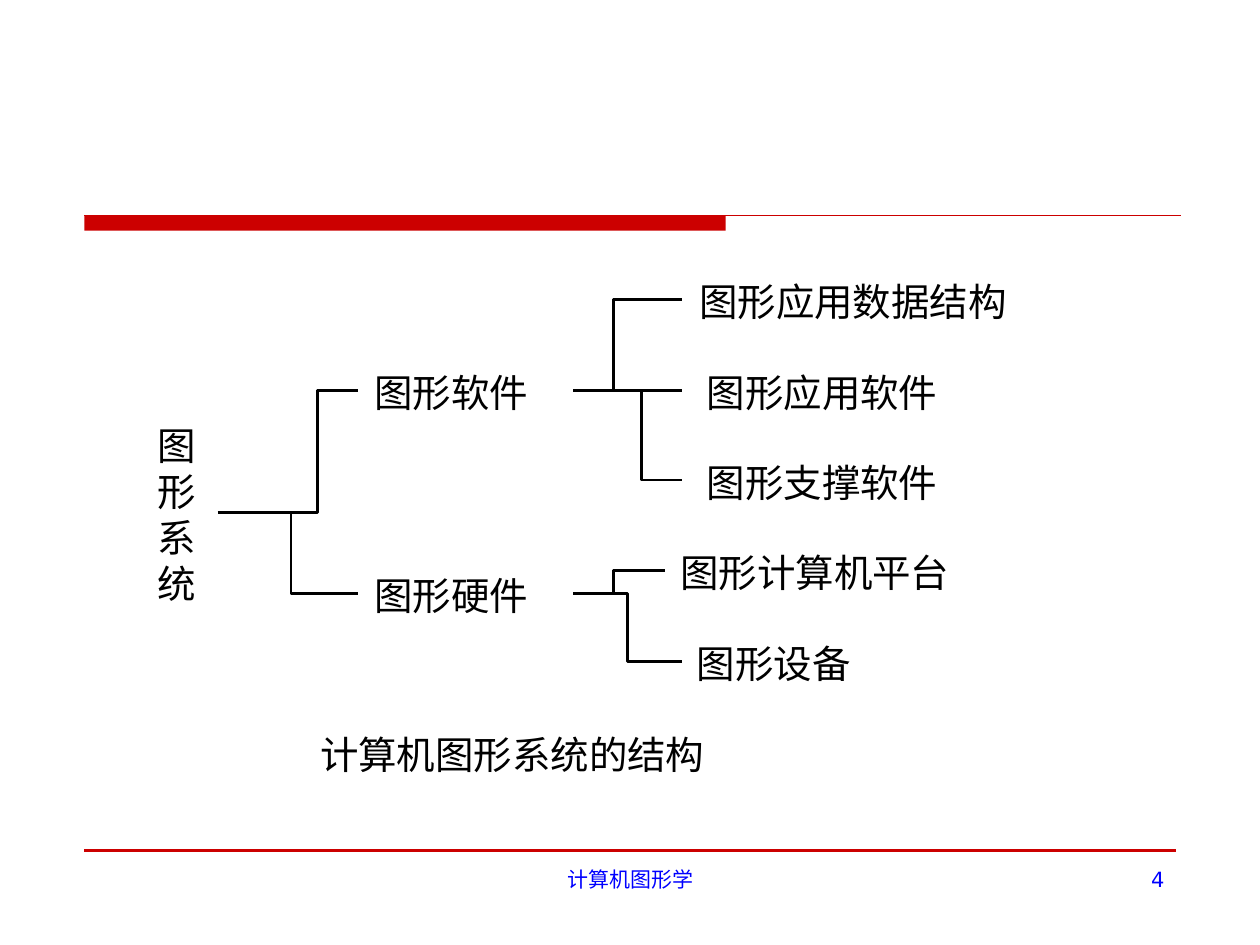
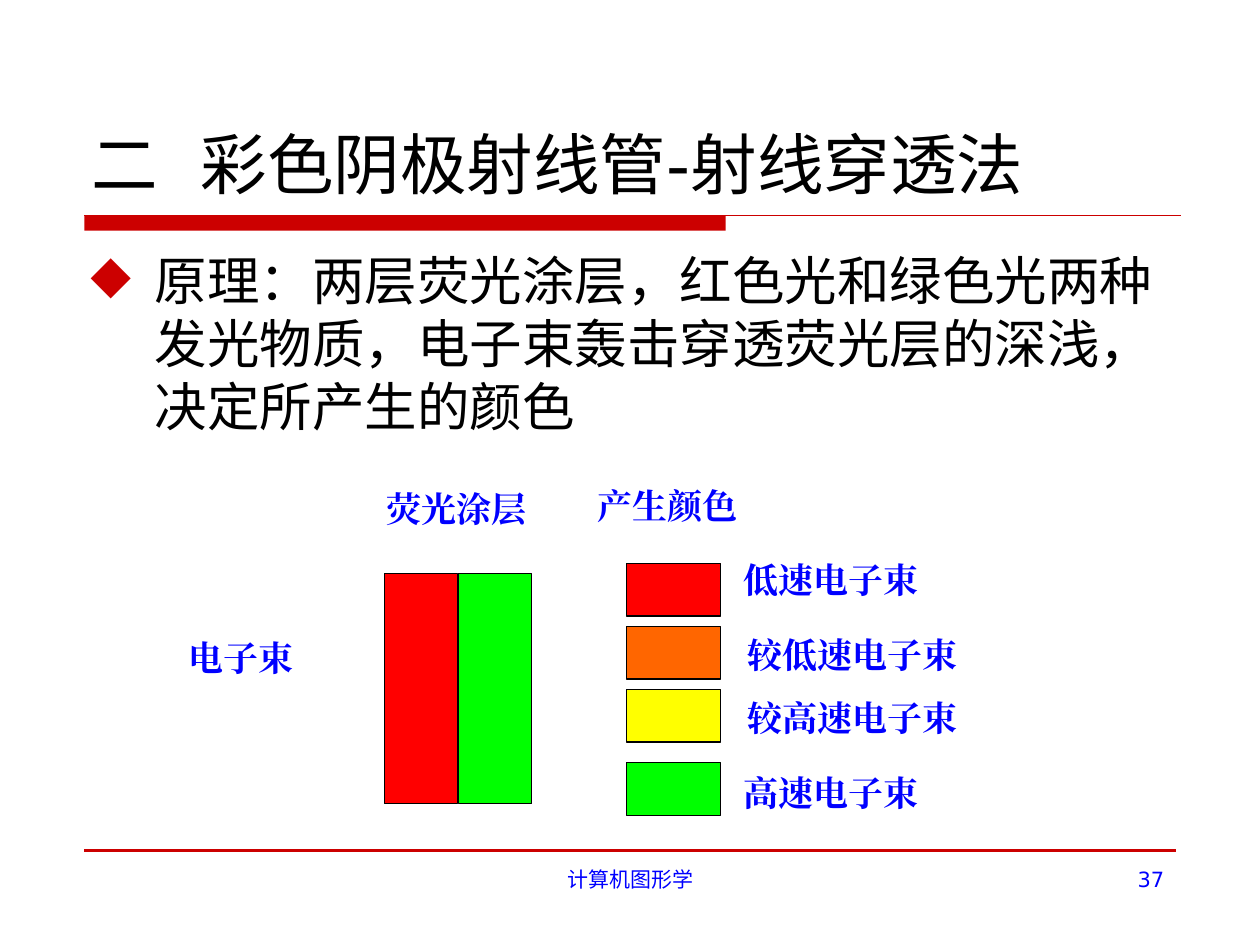
from lxml import etree
from pptx import Presentation
from pptx.dml.color import RGBColor
from pptx.enum.shapes import MSO_CONNECTOR, MSO_SHAPE
from pptx.enum.text import MSO_ANCHOR, MSO_AUTO_SIZE, PP_ALIGN
from pptx.oxml.ns import qn
from pptx.util import Inches, Pt

COLORS = {
    "accent": "CC0000", "note": "0000FF", "ink": "000000",
    "red": "FF0000", "orange": "FF6600", "yellow": "FFFF00", "green": "00FF00",
}
BASE_FONT = "DejaVu Sans"
TREE_FONT = "Noto Sans CJK SC"
BEAM_FONT = "Times New Roman"


def style_paragraph(paragraph, size, font, color, bold=False):
    """Set size, colour and both the Latin and the East Asian typeface."""
    paragraph.font.size = Pt(size)
    paragraph.font.name = font
    paragraph.font.bold = bold
    paragraph.font.color.rgb = RGBColor.from_string(COLORS[color])
    latin = paragraph.font._element.find(qn("a:latin"))
    east_asian = etree.Element(qn("a:ea"), typeface=font)
    latin.addnext(east_asian)


def add_text(slide, text, box, size, font, color, bold=False,
             align=PP_ALIGN.LEFT, margins=(0.1, 0.05), wrap=False):
    frame = slide.shapes.add_textbox(*map(Inches, box)).text_frame
    frame.word_wrap = wrap
    frame.auto_size = MSO_AUTO_SIZE.NONE if wrap else MSO_AUTO_SIZE.SHAPE_TO_FIT_TEXT
    frame.margin_left = frame.margin_right = Inches(margins[0])
    frame.margin_top = frame.margin_bottom = Inches(margins[1])
    paragraph = frame.paragraphs[0]
    paragraph.text = text
    paragraph.alignment = align
    style_paragraph(paragraph, size, font, color, bold)
    return paragraph


prs = Presentation()
prs.slide_width, prs.slide_height = Inches(10), Inches(7.5)
structure = prs.slides.add_slide(prs.slide_layouts[6])
penetration = prs.slides.add_slide(prs.slide_layouts[5])

# Shared band, rules and footer
for slide, number in ((structure, "4"), (penetration, "37")):
    band = slide.shapes.add_shape(
        MSO_SHAPE.RECTANGLE, Inches(0.67), Inches(1.71), Inches(5.09), Inches(0.12))
    band.shadow.inherit = False
    band.fill.solid()
    band.fill.fore_color.rgb = RGBColor.from_string(COLORS["accent"])
    band.line.fill.background()
    for y, right, weight in ((1.71, 9.37, 0.75), (6.75, 9.33, 2.25)):
        rule = slide.shapes.add_connector(
            MSO_CONNECTOR.STRAIGHT, Inches(0.67), Inches(y), Inches(right), Inches(y))
        rule.line.color.rgb = RGBColor.from_string(COLORS["accent"])
        rule.line.width = Pt(weight)
        etree.SubElement(rule._element.spPr, qn("a:effectLst"))
    add_text(slide, "计算机图形学", (3.42, 6.83, 3.17, 0.52), 12, BASE_FONT, "note",
             align=PP_ALIGN.CENTER, wrap=True)
    add_text(slide, number, (7.17, 6.83, 2.17, 0.52), 12, BASE_FONT, "note",
             align=PP_ALIGN.RIGHT, wrap=True)

# Slide 1: tree of the graphics system
CHAR_WIDTH, ROW_HEIGHT = 0.305, 0.37
tree_labels = [
    ("图形软件", 2.97, 2.93), ("图形硬件", 2.97, 4.54),
    ("图形应用数据结构", 5.55, 2.21), ("图形应用软件", 5.61, 2.93),
    ("图形支撑软件", 5.61, 3.64), ("图形计算机平台", 5.4, 4.36),
    ("图形设备", 5.53, 5.08), ("计算机图形系统的结构", 2.54, 5.8),
]
tree_labels += [(char, 1.25, 3.35 + 0.365 * i) for i, char in enumerate("图形系统")]
for text, x, y in tree_labels:
    add_text(structure, text, (x, y, CHAR_WIDTH * len(text), ROW_HEIGHT),
             22, TREE_FONT, "ink", margins=(0, 0))

# Each branch: start x, start y, bend x, end x, end y
branches = [
    (1.73, 4.07, 2.52, 2.84, 3.1), (1.73, 4.07, 2.31, 2.84, 4.71),
    (4.55, 3.1, 4.87, 5.41, 2.38), (4.55, 3.1, 5.09, 5.41, 3.81),
    (4.55, 4.71, 4.87, 5.28, 4.53), (4.55, 4.71, 4.98, 5.41, 5.25),
]
for x, y, bend, end_x, end_y in branches:
    builder = structure.shapes.build_freeform(Inches(x), Inches(y))
    corners = ((bend, y), (bend, end_y), (end_x, end_y))
    builder.add_line_segments([(Inches(px), Inches(py)) for px, py in corners], close=False)
    branch = builder.convert_to_shape()
    branch.shadow.inherit = False
    branch.fill.background()
    branch.line.color.rgb = RGBColor.from_string(COLORS["ink"])
    branch.line.width = Pt(1.62)
middle_branch = structure.shapes.add_connector(
    MSO_CONNECTOR.STRAIGHT, Inches(4.55), Inches(3.1), Inches(5.41), Inches(3.1))
middle_branch.line.color.rgb = RGBColor.from_string(COLORS["ink"])
middle_branch.line.width = Pt(1.62)
etree.SubElement(middle_branch._element.spPr, qn("a:effectLst"))

# Slide 2: beam penetration method
title = penetration.shapes.title
title.left, title.top, title.width, title.height = map(Inches, (0.63, 0.33, 8.75, 1.33))
title.text_frame.text = "二  彩色阴极射线管-射线穿透法"
title.text_frame.vertical_anchor = MSO_ANCHOR.BOTTOM
title.text_frame.auto_size = MSO_AUTO_SIZE.NONE
title.text_frame.paragraphs[0].alignment = PP_ALIGN.LEFT
style_paragraph(title.text_frame.paragraphs[0], 38, BASE_FONT, "ink")

principle = add_text(
    penetration,
    "原理：两层荧光涂层，红色光和绿色光两种发光物质，电子束轰击穿透荧光层的深浅，决定所产生的颜色",
    (0.62, 1.92, 8.75, 4.67), 30, BASE_FONT, "ink", wrap=True)
principle.space_before = Pt(7.5)
properties = principle._p.get_or_add_pPr()
properties.set("marL", str(Inches(0.51)))
properties.set("indent", str(-Inches(0.51)))
bullet_color = etree.Element(qn("a:buClr"))
etree.SubElement(bullet_color, qn("a:srgbClr"), val=COLORS["accent"])
bullet = etree.Element(qn("a:buChar"), char="◆")
default_run = properties.find(qn("a:defRPr"))
default_run.addprevious(bullet_color)
default_run.addprevious(bullet)

coatings = [("red", 3.05, 4.55, 0.58, 1.83), ("green", 3.64, 4.55, 0.58, 1.83)]
swatches = [(color, 4.97, y, 0.75, 0.42) for color, y in
            (("red", 4.47), ("orange", 4.97), ("yellow", 5.47), ("green", 6.05))]
for color, *box in coatings + swatches:
    layer = penetration.shapes.add_shape(MSO_SHAPE.RECTANGLE, *map(Inches, box))
    layer.shadow.inherit = False
    layer.fill.solid()
    layer.fill.fore_color.rgb = RGBColor.from_string(COLORS[color])
    layer.line.color.rgb = RGBColor.from_string(COLORS["ink"])
    layer.line.width = Pt(0.75)

beam_labels = [
    ("电子束", 1.39, 5, 1.04), ("荧光涂层", 2.97, 3.82, 1.31),
    ("产生颜色", 4.64, 3.8, 1.31), ("低速电子束", 5.8, 4.38, 1.59),
    ("较低速电子束", 5.83, 4.98, 1.87), ("较高速电子束", 5.83, 5.48, 1.87),
    ("高速电子束", 5.8, 6.07, 1.59),
]
for text, x, y, width in beam_labels:
    add_text(penetration, text, (x, y, width, 0.44), 20, BEAM_FONT, "note",
             bold=True, align=PP_ALIGN.CENTER)

prs.save("out.pptx")
